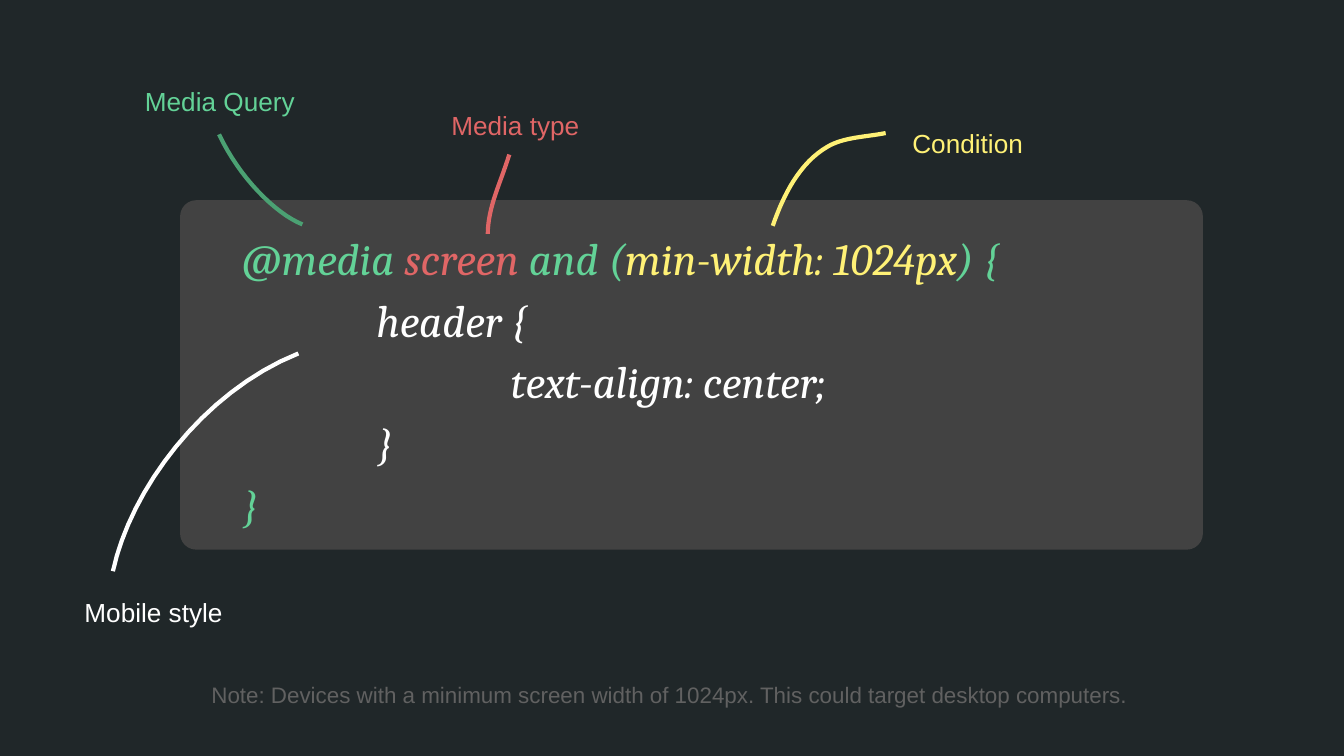
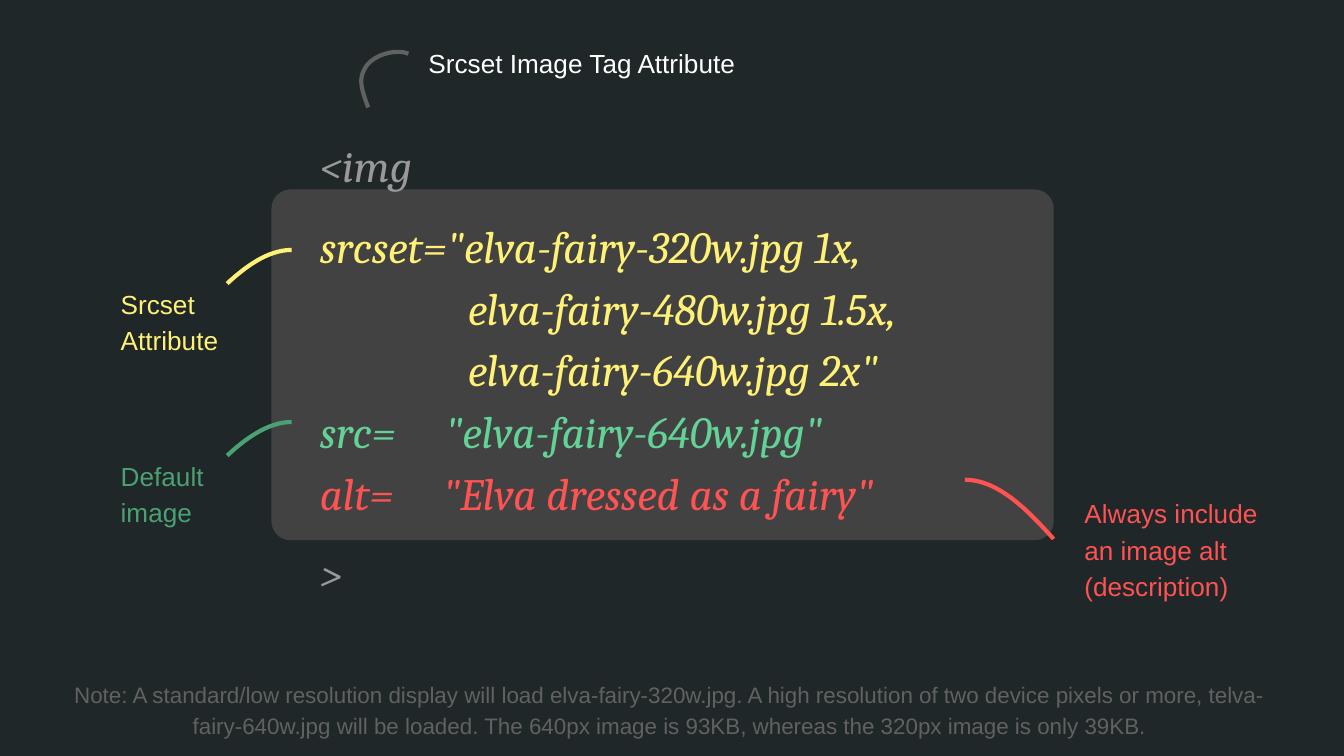
import dataclasses

import pptx
import pptx.dml.color
import pptx.enum.shapes
import pptx.enum.text
import pptx.oxml
import pptx.oxml.ns
import pptx.util

PX = 9144  # EMU in one px, 100 px to the inch


@dataclasses.dataclass(frozen=True)
class Theme:
    background: str = "202729"
    panel: str = "424242"
    white: str = "FFFFFF"
    muted: str = "616161"
    bracket: str = "999999"
    green: str = "63D297"
    dark_green: str = "4BA173"
    yellow: str = "FFF176"
    coral: str = "E06666"
    red: str = "FF5252"
    code_font: str = "Cambria"
    label_font: str = "Arial"
    code_size: int = 24
    label_size: int = 14
    note_size: int = 12
    line_width: float = 2.25
    line_spacing: float = 1.15


theme = Theme()
rgb = pptx.dml.color.RGBColor.from_string
align = pptx.enum.text.PP_ALIGN
anchors = pptx.enum.text.MSO_ANCHOR


def write(box, lines, *, font=theme.label_font, size=theme.label_size, italic=False,
          alignment=align.LEFT, anchor=anchors.TOP, gaps=None, tabs=()):
    """Fill a box with lines, each a list of (text, colour) spans."""
    frame = box.text_frame
    frame.word_wrap = True
    frame.auto_size = pptx.enum.text.MSO_AUTO_SIZE.NONE
    frame.vertical_anchor = anchor
    frame.margin_left = frame.margin_right = 10 * PX
    frame.margin_top = frame.margin_bottom = 10 * PX
    for index, spans in enumerate(lines):
        para = frame.add_paragraph() if index else frame.paragraphs[0]
        para.alignment = alignment
        para.line_spacing = theme.line_spacing
        if gaps and index in gaps:
            para.space_before = pptx.util.Pt(gaps[index])
        if tabs:
            stops = "".join(f'<a:tab pos="{stop * PX}" algn="l"/>' for stop in tabs)
            para._p.get_or_add_pPr().append(pptx.oxml.parse_xml(
                f'<a:tabLst {pptx.oxml.ns.nsdecls("a")}>{stops}</a:tabLst>'))
        for text, colour in spans:
            span = para.add_run()
            span.text = text
            span.font.name = font
            span.font.size = pptx.util.Pt(size)
            span.font.italic = italic
            span.font.color.rgb = rgb(colour)


def draw_curve(page, points, colour, steps=16):
    """Draw a chain of cubic curves: a start, then three points for each curve."""
    outline = [points[0]]
    for first in range(0, len(points) - 1, 3):
        a, b, c, d = points[first:first + 4]
        for step in range(1, steps + 1):
            t = step / steps
            weights = ((1 - t) ** 3, 3 * t * (1 - t) ** 2, 3 * t * t * (1 - t), t ** 3)
            outline.append(tuple(sum(w * p[axis] for w, p in zip(weights, (a, b, c, d)))
                                 for axis in (0, 1)))
    outline = [(round(x * PX), round(y * PX)) for x, y in outline]
    builder = page.shapes.build_freeform(*outline[0], scale=1.0)
    builder.add_line_segments(outline[1:], close=False)
    curve = builder.convert_to_shape()
    curve.shadow.inherit = False
    curve.fill.background()
    curve.line.color.rgb = rgb(colour)
    curve.line.width = pptx.util.Pt(theme.line_width)


# Content: each label has its lines, colour, place, curve colour and curve points
media_query = {
    "panel": (134, 149, 761, 260),
    "rounding": 0.046,
    "code_place": (170, 58, 787, 445),
    "code": [
        [("@media ", theme.green), ("screen", theme.coral), (" and (", theme.green),
         ("min-width: 1024px", theme.yellow), (") {", theme.green)],
        [("\theader {", theme.white)],
        [("\t\ttext-align: center;", theme.white)],
        [("\t}", theme.white)],
        [("}", theme.green)],
    ],
    "gaps": {},
    "tabs": (100, 200),
    "labels": [
        (["Media Query"], theme.green, (98, 50, 156, 44), theme.dark_green,
         [(225, 167), (205, 159), (178, 132), (163, 100)]),
        (["Mobile style"], theme.white, (53, 430, 156, 44), theme.white,
         [(84, 425), (97, 365), (150, 292), (222, 263)]),
        (["Condition"], theme.yellow, (669, 81, 156, 44), theme.yellow,
         [(575, 168), (583, 145), (595, 121), (616, 109), (628, 102), (644, 102), (659, 99)]),
        (["Media type"], theme.coral, (326, 68, 156, 44), theme.coral,
         [(379, 115), (373, 135), (363, 154), (363, 174)]),
    ],
    "note": "Note: Devices with a minimum screen width of 1024px. "
            "This could target desktop computers.",
}

image_indent = " " * 15
srcset = {
    "panel": (202, 141, 582, 261),
    "rounding": 0.054,
    "code_place": (228, 49, 693, 445),
    "code": [
        [("<img", theme.bracket)],
        [('srcset="elva-fairy-320w.jpg 1x,', theme.yellow)],
        [(image_indent + "elva-fairy-480w.jpg 1.5x,", theme.yellow)],
        [(image_indent + 'elva-fairy-640w.jpg 2x"', theme.yellow)],
        [('src=     "elva-fairy-640w.jpg"', theme.green)],
        [('alt=     "Elva dressed as a fairy"', theme.red)],
        [(">", theme.bracket)],
    ],
    "gaps": {1: 10, 6: 10},
    "tabs": (),
    "labels": [
        (["Srcset Image Tag Attribute"], theme.white, (309, 22, 320, 44), theme.muted,
         [(274, 80), (271, 71), (266, 61), (271, 52), (276, 41), (294, 36), (304, 40)]),
        (["Always include an image alt (description)"], theme.red, (797, 357, 174, 83), theme.red,
         [(784, 401), (765, 380), (743, 357), (718, 357)]),
    ],
    "note": "Note: A standard/low resolution display will load elva-fairy-320w.jpg. "
            "A high resolution of two device pixels or more, telva-fairy-640w.jpg will be loaded. "
            "The 640px image is 93KB, whereas the 320px image is only 39KB.",
}
for top, lines, colour in ((201, ["Srcset", "Attribute"], theme.yellow),
                           (329, ["Default", "image"], theme.dark_green)):
    srcset["labels"].append(
        (lines, colour, (80, top, 107, 83), colour,
         [(169, top + 10), (182, top - 2), (199, top - 15), (217, top - 15)]))

# Deck in 16:9 and shared background
deck = pptx.Presentation()
deck.slide_width = 1000 * PX
deck.slide_height = deck.slide_width * 9 // 16
backdrop = deck.slide_master.background.fill
backdrop.solid()
backdrop.fore_color.rgb = rgb(theme.background)
title_only = deck.slide_layouts.get_by_name("Title Only")

for content in (media_query, srcset):
    page = deck.slides.add_slide(title_only)

    # Code in the title, with the panel behind it
    title = page.shapes.title
    title.left, title.top, title.width, title.height = (n * PX for n in content["code_place"])
    write(title, content["code"], font=theme.code_font, size=theme.code_size, italic=True,
          anchor=anchors.MIDDLE, gaps=content["gaps"], tabs=content["tabs"])
    panel = page.shapes.add_shape(pptx.enum.shapes.MSO_SHAPE.ROUNDED_RECTANGLE,
                                  *(n * PX for n in content["panel"]))
    panel.adjustments[0] = content["rounding"]
    panel.shadow.inherit = False
    panel.fill.solid()
    panel.fill.fore_color.rgb = rgb(theme.panel)
    panel.line.fill.background()
    title.element.addprevious(panel.element)

    # Labels and the curves that tie them to the code
    for lines, colour, place, curve_colour, points in content["labels"]:
        label = page.shapes.add_textbox(*(n * PX for n in place))
        write(label, [[(line, colour)] for line in lines])
        draw_curve(page, points, curve_colour)

    # Note at the foot
    note = page.shapes.add_textbox(40 * PX, 494 * PX, 917 * PX, 44 * PX)
    write(note, [[(content["note"], theme.muted)]], size=theme.note_size, alignment=align.CENTER)

deck.save("out.pptx")
